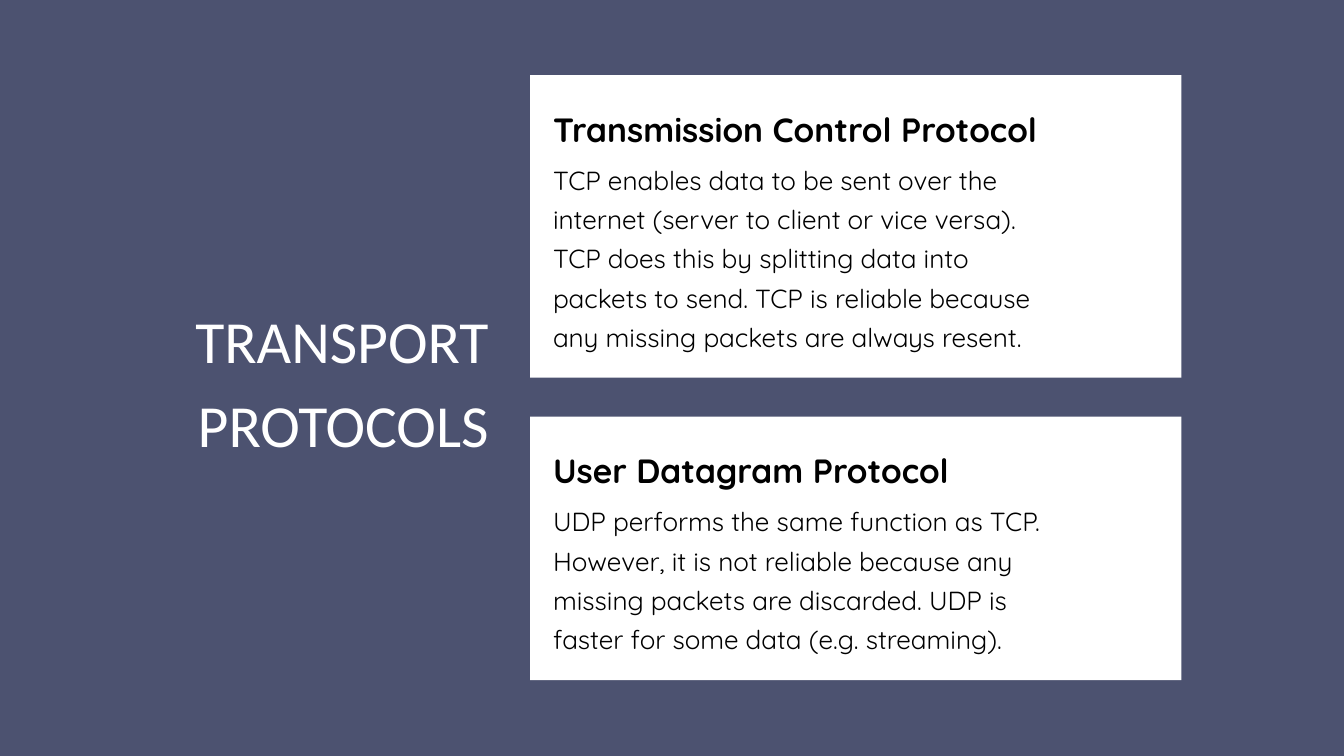
import dataclasses
import pptx
import pptx.dml.color
import pptx.enum.shapes
import pptx.enum.text
import pptx.util

Inches = pptx.util.Inches
Pt = pptx.util.Pt
Align = pptx.enum.text.PP_ALIGN


@dataclasses.dataclass
class Card:
    top: float
    height: float
    head: str
    body: str


@dataclasses.dataclass
class Style:
    face: str
    size: float
    pitch: float
    hue: str
    bold: bool = False
    align: Align = Align.LEFT


TITLE = Style("Calibri", 64, 89.6, "FFFFFF", align=Align.RIGHT)
HEAD = Style("Quicksand", 36, 50.4, "000000", bold=True)
BODY = Style("Quicksand", 28, 42, "000000")

CARDS = [
    Card(1.12, 4.5, "Transmission Control Protocol",
         "TCP enables data to be sent over the internet (server to client or "
         "vice versa). TCP does this by splitting data into packets to send. "
         "TCP is reliable because any missing packets are always resent."),
    Card(6.2, 3.92, "User Datagram Protocol",
         "UDP performs the same function as TCP. However, it is not reliable "
         "because any missing packets are discarded. UDP is faster for some "
         "data (e.g. streaming)."),
]


def paint(fill, hue: str) -> None:
    fill.solid()
    fill.fore_color.rgb = pptx.dml.color.RGBColor.from_string(hue)


def write(slide, left: float, top: float, width: float, height: float,
          text: str, style: Style) -> None:
    box = slide.shapes.add_textbox(
        Inches(left), Inches(top), Inches(width), Inches(height))
    frame = box.text_frame
    frame.word_wrap = True
    for side in ("left", "top", "right", "bottom"):
        setattr(frame, f"margin_{side}", 0)
    para = frame.paragraphs[0]
    para.alignment = style.align
    para.line_spacing = Pt(style.pitch)
    run = para.add_run()
    run.text = text
    looks = {"name": style.face, "size": Pt(style.size), "bold": style.bold}
    for key, value in looks.items():
        setattr(run.font, key, value)
    paint(run.font.fill, style.hue)


def draw(slide, card: Card) -> None:
    panel = slide.shapes.add_shape(
        pptx.enum.shapes.MSO_SHAPE.RECTANGLE,
        Inches(7.89), Inches(card.top), Inches(9.69), Inches(card.height))
    panel.shadow.inherit = False
    paint(panel.fill, "FFFFFF")
    panel.line.fill.background()
    write(slide, 8.23, card.top + 0.4, 7.62, 0.66, card.head, HEAD)
    write(slide, 8.23, card.top + 1.21, 7.62, card.height - 1.66,
          card.body, BODY)


def main() -> None:
    deck = pptx.Presentation()
    deck.slide_width = Inches(20)
    deck.slide_height = Inches(11.25)
    slide = deck.slides.add_slide(deck.slide_layouts[6])
    paint(slide.background.fill, "4C5270")
    write(slide, 1.54, 4.35, 5.73, 2.43, "TRANSPORT PROTOCOLS", TITLE)
    for card in CARDS:
        draw(slide, card)
    deck.save("out.pptx")


if __name__ == "__main__":
    main()
